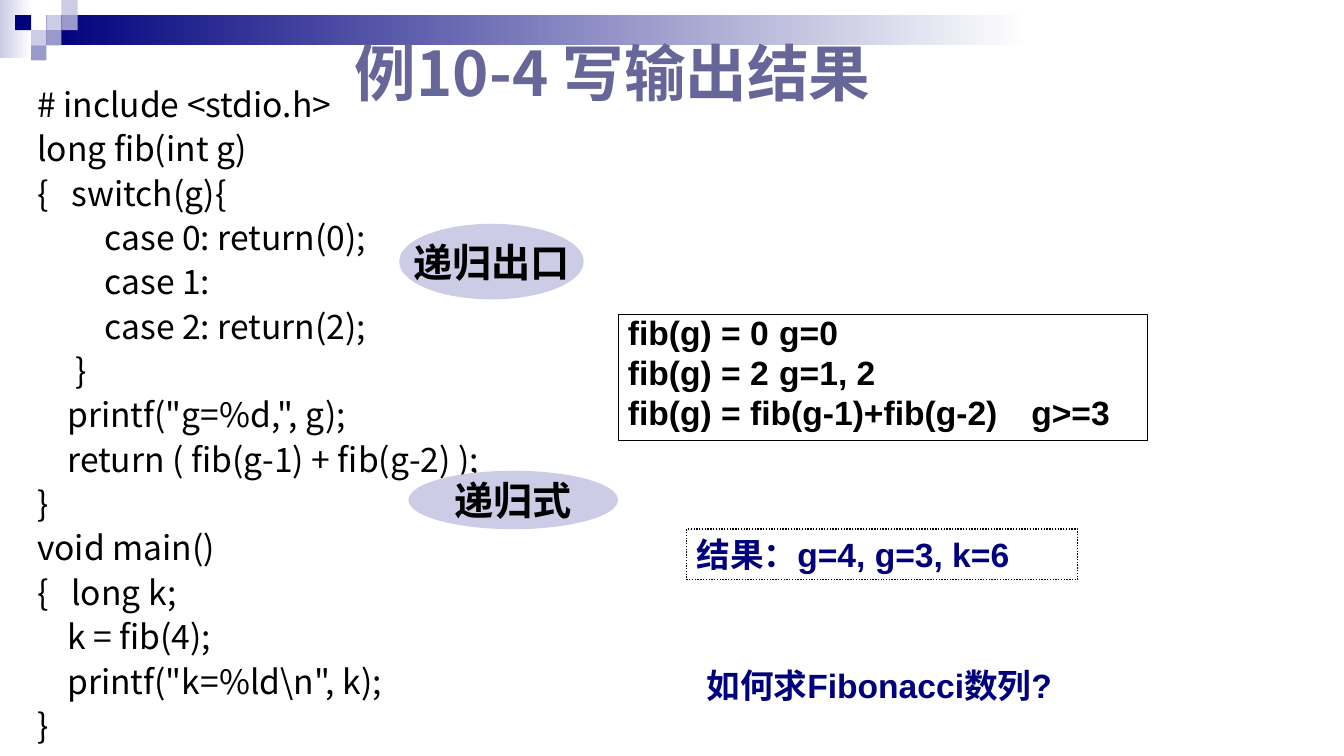
"""Build the slide on the output of a recursive Fibonacci program."""
import pptx
import pptx.chart.data
import pptx.dml.color
import pptx.enum.dml
import pptx.enum.shapes
import pptx.enum.text
import pptx.oxml
import pptx.oxml.ns
import pptx.util

Inches, Pt = pptx.util.Inches, pptx.util.Pt
SHAPE = pptx.enum.shapes.MSO_SHAPE
ALIGN = pptx.enum.text.PP_ALIGN
ANCHOR = pptx.enum.text.MSO_ANCHOR
CJK = "Noto Sans CJK SC"
NAVY, LILAC, VIOLET, BLACK = "00007D", "CCCCE6", "9999CC", "000000"


def rgb(value):
    return pptx.dml.color.RGBColor.from_string(value)


def write(frame, text, size=24, font="Arial", color=BLACK, bold=True, align=ALIGN.LEFT,
          anchor=ANCHOR.TOP, spacing=None, before=0, wrap=True, indent=0, hang=0,
          tab=None, first=True):
    frame.word_wrap = wrap
    frame.vertical_anchor = anchor
    paragraph = frame.paragraphs[0] if first else frame.add_paragraph()
    paragraph.alignment = align
    paragraph.line_spacing = spacing
    paragraph.space_before = Pt(before)
    run = paragraph.add_run()
    run.text = text
    run.font.size, run.font.name, run.font.bold = Pt(size), font, bold
    run.font.color.rgb = rgb(color)
    east_asian = pptx.oxml.parse_xml(
        f'<a:ea {pptx.oxml.ns.nsdecls("a")} typeface="{CJK}"/>')
    run.font.element.find(pptx.oxml.ns.qn("a:latin")).addnext(east_asian) \
        if hasattr(run.font, "element") else \
        run._r.rPr.find(pptx.oxml.ns.qn("a:latin")).addnext(east_asian)
    properties = paragraph._p.get_or_add_pPr()
    properties.set("marL", str(Inches(indent)))
    properties.set("indent", str(Inches(-hang)))
    if tab:
        properties.append(pptx.oxml.parse_xml(
            f'<a:tabLst {pptx.oxml.ns.nsdecls("a")}>'
            f'<a:tab pos="{Inches(tab)}" algn="l"/></a:tabLst>'))


deck = pptx.Presentation()
deck.slide_width, deck.slide_height = Inches(13.33), Inches(7.5)
slide = deck.slides.add_slide(deck.slide_layouts[5])
shapes = slide.shapes

for left, top, width, height, start, end in [
    (0, 0, 0.32, 0.58, LILAC, "FFFFFF"),
    (0.46, 0.15, 9.75, 0.3, NAVY, "FFFFFF"),
    (0.46, 0.15, 0.15, 0.15, LILAC, None),
    (0.61, 0, 0.16, 0.15, LILAC, None),
    (0.61, 0.15, 0.16, 0.15, VIOLET, None),
    (0.31, 0.3, 0.15, 0.15, LILAC, None),
    (0.15, 0.15, 0.16, 0.15, NAVY, None),
    (0.46, 0.3, 0.15, 0.15, VIOLET, None),
    (0.31, 0.45, 0.15, 0.15, VIOLET, None),
]:
    banner = shapes.add_shape(SHAPE.RECTANGLE, Inches(left), Inches(top),
                              Inches(width), Inches(height))
    banner.shadow.inherit = False
    banner.line.fill.background()
    if end:
        banner.fill.gradient()
        banner.fill.gradient_angle = 0
        for stop, color in zip(banner.fill.gradient_stops, (start, end)):
            stop.color.rgb = rgb(color)
    else:
        banner.fill.solid()
        banner.fill.fore_color.rgb = rgb(start)

title = shapes.title
title.left, title.top, title.width, title.height = map(Inches, (3.42, 0.3, 6, 0.83))
write(title.text_frame, "例10-4 写输出结果", size=44, font=CJK, color="666699",
      anchor=ANCHOR.MIDDLE)
title.element.getparent().append(title.element)

code = shapes.add_textbox(Inches(0.27), Inches(0.72), Inches(5.08), Inches(6.83))
code.text_frame.margin_top = Inches(0.07)
for number, (indent, hang, line) in enumerate([
    (0, 0, "# include <stdio.h>"),
    (0, 0, "long fib(int g)"),
    (0.34, 0.34, "{\tswitch(g){"),
    (0.67, 0, "case 0: return(0);"),
    (0.67, 0, "case 1:"),
    (0.67, 0, "case 2: return(2);"),
    (0.38, 0, "}"),
    (0.3, 0, 'printf("g=%d,", g);'),
    (0.3, 0, "return ( fib(g-1) + fib(g-2) );"),
    (0, 0, "}"),
    (0, 0, "void main()"),
    (0.34, 0.34, "{\tlong k;"),
    (0.3, 0, "k = fib(4);"),
    (0.3, 0, 'printf("k=%ld\\n", k);'),
    (0, 0, "}"),
]):
    write(code.text_frame, line, font=CJK, bold=False, spacing=Pt(31.7),
          indent=indent, hang=hang, first=number == 0)

formula = shapes.add_shape(SHAPE.RECTANGLE, Inches(6.13), Inches(3.12),
                           Inches(5.25), Inches(1.25))
result = shapes.add_shape(SHAPE.RECTANGLE, Inches(6.81), Inches(5.25),
                          Inches(3.88), Inches(0.5))
for frame, width in ((formula, 0.75), (result, 1)):
    frame.shadow.inherit = False
    frame.fill.background()
    frame.line.color.rgb = rgb(BLACK)
    frame.line.width = Pt(width)
result.line.dash_style = pptx.enum.dml.MSO_LINE.ROUND_DOT

for number, (value, condition, tab) in enumerate([
    ("fib(g) = 0", "g=0", 3.99),
    ("fib(g) = 2", "g=1, 2", 3.99),
    ("fib(g) = fib(g-1)+fib(g-2)", "g>=3", 4.13),
]):
    write(formula.text_frame, f"{value}\t{condition}", spacing=0.8, before=5.5,
          tab=tab, first=number == 0)
write(result.text_frame, "结果：g=4, g=3, k=6", color=NAVY, anchor=ANCHOR.MIDDLE)

question = shapes.add_textbox(Inches(6.91), Inches(6.59), Inches(3.67), Inches(0.47))
write(question.text_frame, "如何求Fibonacci数列?", color=NAVY, spacing=0.9,
      align=ALIGN.JUSTIFY)

for label, left, top, width, height in [
    ("递归式", 4.05, 4.67, 2.08, 0.58),
    ("递归出口", 3.96, 2.22, 1.83, 0.75),
]:
    callout = shapes.add_shape(SHAPE.OVAL, Inches(left), Inches(top),
                               Inches(width), Inches(height))
    callout.shadow.inherit = False
    callout.fill.solid()
    callout.fill.fore_color.rgb = rgb(LILAC)
    callout.line.fill.background()
    write(callout.text_frame, label, size=28, font="Times New Roman",
          align=ALIGN.CENTER, anchor=ANCHOR.MIDDLE, wrap=False)

deck.save("out.pptx")
